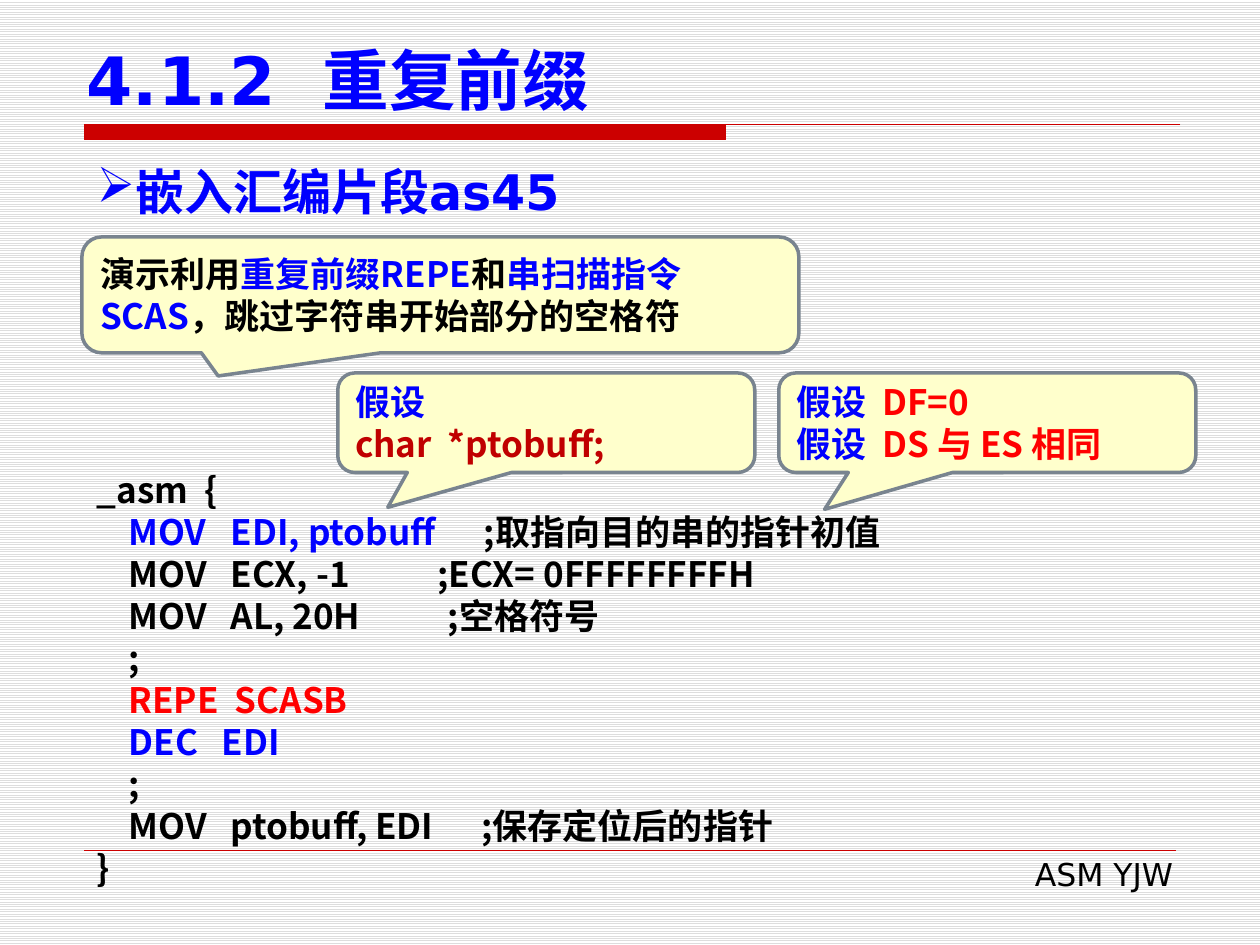
from lxml import etree
from pptx import Presentation
from pptx.dml.color import RGBColor
from pptx.enum import dml, shapes, text
from pptx.oxml.ns import qn
from pptx.util import Pt


class Theme:
    blue, red, black = "0000FF", "FF0000", "000000"
    brick, dark = "CC0000", "C00000"
    cream, slate = "FFFFCC", "79848F"
    rule, paper = "DDDDDD", "FFFFFF"
    sans, cjk = "DejaVu Sans", "Noto Sans CJK SC"
    title, head, body, foot = 38, 28, 20, 18
    pitch = 24


def rgb(code):
    return RGBColor.from_string(code)


def write(frame, lines, size, face, bold=True, pitch=None):
    """Fill a frame; each line is a list of (words, colour) runs."""
    frame.word_wrap = True
    for i, line in enumerate(lines):
        para = frame.add_paragraph() if i else frame.paragraphs[0]
        para.alignment = text.PP_ALIGN.LEFT
        if pitch:
            para.line_spacing = Pt(pitch)
        for words, color in line:
            run = para.add_run()
            run.text = words
            font = run.font
            font.size, font.bold, font.name = Pt(size), bold, face
            font.color.rgb = rgb(color)
            east = etree.SubElement(run._r.get_or_add_rPr(), qn("a:ea"))
            east.set("typeface", Theme.cjk)


deck = Presentation()
deck.slide_width, deck.slide_height = Pt(720), Pt(540)
slide = deck.slides.add_slide(deck.slide_layouts[6])
items = slide.shapes

# Striped background
back = slide.background.fill
back.patterned()
back.pattern = dml.MSO_PATTERN.LIGHT_HORIZONTAL
back.fore_color.rgb = rgb(Theme.rule)
back.back_color.rgb = rgb(Theme.paper)

# Title rule: thick bar and thin line in one outline
left, top = 48.2, 71.3
pen = items.build_freeform(Pt(left), Pt(top))
pen.add_line_segments([(Pt(x), Pt(y)) for x, y in
                       [(414.7, top), (414.7, 79.9), (left, 79.9)]], close=True)
pen.move_to(Pt(left), Pt(top))
pen.add_line_segments([(Pt(674.6), Pt(top))], close=False)
bar = pen.convert_to_shape()
bar.shadow.inherit = False
bar.fill.solid()
bar.fill.fore_color.rgb = rgb(Theme.brick)
bar.line.color.rgb = rgb(Theme.brick)
bar.line.width = Pt(0.75)

# Footer line and label
base = items.add_connector(shapes.MSO_CONNECTOR.STRAIGHT,
                           Pt(left), Pt(486), Pt(672), Pt(486))
base.line.color.rgb = rgb(Theme.brick)
base.line.width = Pt(0.25)
etree.SubElement(base._element.spPr, qn("a:effectLst"))

foot = items.add_textbox(Pt(275), Pt(485.3), Pt(402.5), Pt(28.8)).text_frame
write(foot, [[("ASM YJW", Theme.black)]], Theme.foot, Theme.sans, bold=False)
foot.paragraphs[0].alignment = text.PP_ALIGN.RIGHT

# Title
title = items.add_textbox(Pt(42.5), Pt(20.2), Pt(652.3), Pt(51.1)).text_frame
title.vertical_anchor = text.MSO_ANCHOR.BOTTOM
write(title, [[("4.1.2  重复前缀", Theme.blue)]], Theme.title, Theme.sans)

# Bulleted heading
head = items.add_textbox(Pt(left), Pt(88.6), Pt(623.5), Pt(41)).text_frame
write(head, [[("嵌入汇编片段as45", Theme.blue)]], Theme.head, Theme.sans)
para = head.paragraphs[0]
para.alignment = text.PP_ALIGN.JUSTIFY
mark = etree.SubElement(para._p.get_or_add_pPr(), qn("a:buChar"))
mark.set("char", "➢")

# Assembly listing
pad = ("    ", Theme.black)
code = [
    [("_asm  {", Theme.black)],
    [pad, ("MOV   EDI, ptobuff      ", Theme.blue),
     (";取指向目的串的指针初值", Theme.black)],
    [("    MOV   ECX, -1           ;ECX= 0FFFFFFFFH", Theme.black)],
    [("    MOV   AL, 20H           ;空格符号", Theme.black)],
    [("    ;", Theme.black)],
    [pad, ("REPE  SCASB", Theme.red)],
    [pad, ("DEC   EDI", Theme.blue)],
    [("    ;", Theme.black)],
    [("    MOV   ptobuff, EDI      ;保存定位后的指针", Theme.black)],
    [("}", Theme.black)],
]
box = items.add_textbox(Pt(left), Pt(264.2), Pt(652.3), Pt(249.8))
write(box.text_frame, code, Theme.body, Theme.cjk, pitch=Theme.pitch)

# Callouts: place, tail tip, lines
notes = [
    ((46.8, 135.4, 409.7, 66.2), (-0.31, 0.7), [
        [("演示利用", Theme.black), ("重复前缀REPE", Theme.blue),
         ("和", Theme.black), ("串扫描指令SCAS", Theme.blue),
         ("，跳过字符串开始部分的空格符", Theme.black)]]),
    ((445, 213.1, 238.3, 56.9), (-0.39, 0.87), [
        [("假设  ", Theme.blue), ("DF=0", Theme.red)],
        [("假设  ", Theme.blue), ("DS 与 ES 相同", Theme.red)]]),
    ((193, 213.1, 238.3, 56.9), (-0.38, 0.85), [
        [("假设", Theme.blue)],
        [("char  *ptobuff;", Theme.dark)]]),
]
for place, tip, lines in notes:
    note = items.add_shape(shapes.MSO_SHAPE.ROUNDED_RECTANGULAR_CALLOUT,
                           *[Pt(v) for v in place])
    note.adjustments[0], note.adjustments[1] = tip
    note.adjustments[2] = 0.17
    note.shadow.inherit = False
    note.fill.solid()
    note.fill.fore_color.rgb = rgb(Theme.cream)
    note.line.color.rgb = rgb(Theme.slate)
    note.line.width = Pt(2)
    note.text_frame.vertical_anchor = text.MSO_ANCHOR.MIDDLE
    write(note.text_frame, lines, Theme.body, Theme.cjk, pitch=Theme.pitch)

deck.save("out.pptx")
